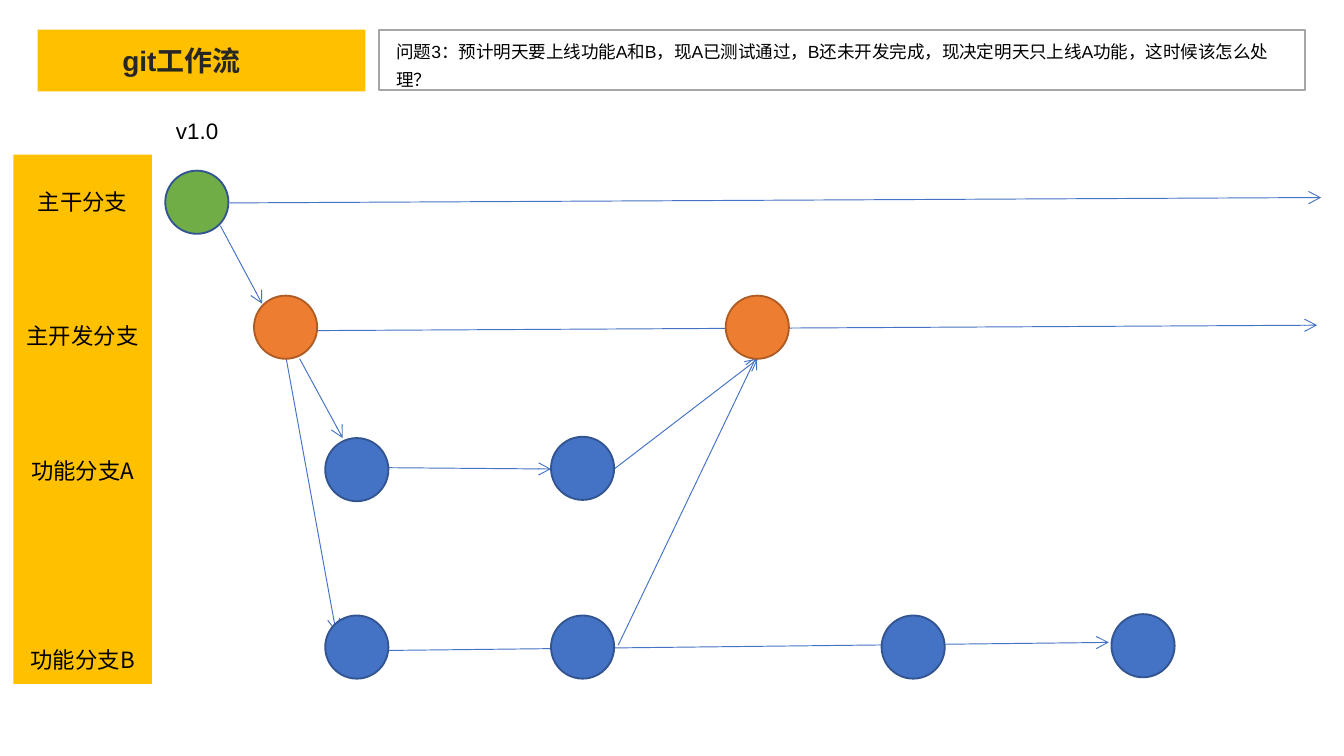
import dataclasses

import pptx
import pptx.dml.color
import pptx.enum.shapes
import pptx.enum.text
import pptx.oxml
import pptx.oxml.ns
import pptx.util

SHAPES = pptx.enum.shapes.MSO_SHAPE
ALIGN = pptx.enum.text.PP_ALIGN
ANCHOR = pptx.enum.text.MSO_ANCHOR
PX = 9144


@dataclasses.dataclass(frozen=True)
class Theme:
    amber: str = "FFC000"
    grey: str = "A5A5A5"
    ink: str = "000000"
    title_ink: str = "262626"
    trunk: str = "70AD47"
    develop: str = "ED7D31"
    develop_edge: str = "AF5C24"
    feature: str = "4472C4"
    edge: str = "325491"
    latin: str = "Arial"
    chinese: str = "Noto Sans CJK SC"
    title_size: float = 15
    label_size: float = 12
    question_size: float = 9.4
    outline: float = 1
    arrow: float = 0.5


THEME = Theme()


@dataclasses.dataclass(frozen=True)
class Box:
    left: int
    top: int
    width: int
    height: int

    def inner(self, left, top, width, height):
        return Box(self.left + left, self.top + top, width, height)

    def emu(self):
        return [value * PX for value in dataclasses.astuple(self)]


def rgb(color):
    return pptx.dml.color.RGBColor.from_string(color)


def add_shape(page, kind, box, fill=None, line=None):
    shape = page.shapes.add_shape(kind, *box.emu())
    shape.shadow.inherit = False
    if fill:
        shape.fill.solid()
        shape.fill.fore_color.rgb = rgb(fill)
    else:
        shape.fill.background()
    if line:
        shape.line.color.rgb = rgb(line)
        shape.line.width = pptx.util.Pt(THEME.outline)
    else:
        shape.line.fill.background()
    return shape


def add_arrow(page, box, start_x, start_y, end_x, end_y):
    start = box.inner(start_x, start_y, 0, 0)
    end = box.inner(end_x, end_y, 0, 0)
    arrow = page.shapes.add_connector(
        pptx.enum.shapes.MSO_CONNECTOR.STRAIGHT,
        start.left * PX, start.top * PX, end.left * PX, end.top * PX)
    arrow.line.color.rgb = rgb(THEME.feature)
    arrow.line.width = pptx.util.Pt(THEME.arrow)
    tail = pptx.oxml.parse_xml(
        f'<a:tailEnd {pptx.oxml.ns.nsdecls("a")} type="arrow"/>')
    arrow.line._get_or_add_ln().append(tail)
    effects = pptx.oxml.parse_xml(f'<a:effectLst {pptx.oxml.ns.nsdecls("a")}/>')
    arrow._element.spPr.append(effects)


def write(shape, text, size, color=THEME.ink, latin=THEME.latin, bold=False,
          align=ALIGN.LEFT, anchor=ANCHOR.MIDDLE, insets=(7, 4, 7, 4), wrap=True):
    frame = shape.text_frame
    frame.text = text
    frame.word_wrap = wrap
    frame.auto_size = pptx.enum.text.MSO_AUTO_SIZE.NONE
    frame.vertical_anchor = anchor
    (frame.margin_left, frame.margin_top,
     frame.margin_right, frame.margin_bottom) = [inset * PX for inset in insets]
    for para in frame.paragraphs:
        para.alignment = align
        for span in para.runs:
            span.font.size = pptx.util.Pt(size)
            span.font.bold = bold
            span.font.name = latin
            span.font.color.rgb = rgb(color)
            east_asian = pptx.oxml.parse_xml(
                f'<a:ea {pptx.oxml.ns.nsdecls("a")} typeface="{THEME.chinese}"/>')
            span.font._element.find(pptx.oxml.ns.qn("a:latin")).addnext(east_asian)
    return frame


def add_title(page, box):
    banner = add_shape(page, SHAPES.RECTANGLE, box, fill=THEME.amber)
    title = page.shapes.title
    title.left, title.top, title.width, title.height = box.inner(
        56, 0, box.width - 56, box.height).emu()
    banner._element.addnext(title._element)
    write(title, "git工作流", THEME.title_size, THEME.title_ink, bold=True)


def add_question(page, box):
    add_shape(page, SHAPES.RECTANGLE, box, line=THEME.grey)
    note = page.shapes.add_textbox(*box.inner(6, 9, box.width - 11, 31).emu())
    frame = write(note, "问题3：预计明天要上线功能A和B，现A已测试通过，B还未开发完成，"
                        "现决定明天只上线A功能，这时候该怎么处理？",
                  THEME.question_size, insets=(7, 4, 14, 4))
    frame.paragraphs[0].line_spacing = 1.3


def add_branch_names(page, box):
    bar = add_shape(page, SHAPES.RECTANGLE, box, fill=THEME.amber)
    names = ["主干分支", "主开发分支", "功能分支A", "功能分支B"]
    frame = write(bar, "\n".join(names), THEME.label_size, latin=THEME.chinese,
                  align=ALIGN.CENTER, anchor=ANCHOR.TOP, insets=(0, 25, 0, 0), wrap=False)
    for para, gap in zip(frame.paragraphs, (0, 57.6, 57.6, 87)):
        para.space_before = pptx.util.Pt(gap)


def add_flow(page, box):
    arrows = [
        (64, 68, 95, 126), (71, 51, 883, 47), (136, 146, 880, 142),
        (123, 167, 155, 226), (113, 167, 150, 370), (188, 248, 310, 249),
        (357, 249, 464, 167), (189, 384, 725, 378), (360, 380, 463, 165),
    ]
    for arrow in arrows:
        add_arrow(page, box, *arrow)
    branches = [
        (THEME.trunk, THEME.edge, [(23, 27)]),
        (THEME.develop, THEME.develop_edge, [(89, 120), (440, 120)]),
        (THEME.feature, THEME.edge, [(142, 226), (310, 225)]),
        (THEME.feature, THEME.edge, [(142, 358), (310, 358), (556, 358), (727, 357)]),
    ]
    for fill, edge, commits in branches:
        for left, top in commits:
            add_shape(page, SHAPES.FLOWCHART_CONNECTOR,
                      box.inner(left, top, 47, 47), fill, edge)
    version = page.shapes.add_textbox(*box.inner(16, -19, 580, 50).emu())
    write(version, "v1.0", THEME.label_size, anchor=ANCHOR.TOP, insets=(15, 6, 10, 5))


def main():
    deck = pptx.Presentation()
    deck.slide_width = 1000 * PX
    deck.slide_height = deck.slide_width * 9 // 16
    page = deck.slides.add_slide(deck.slide_layouts.get_by_name("Title Only"))
    add_title(page, Box(28, 22, 244, 46))
    add_question(page, Box(282, 22, 689, 45))
    add_branch_names(page, Box(10, 115, 103, 394))
    add_flow(page, Box(100, 100, 890, 420))
    deck.save("out.pptx")


if __name__ == "__main__":
    main()
